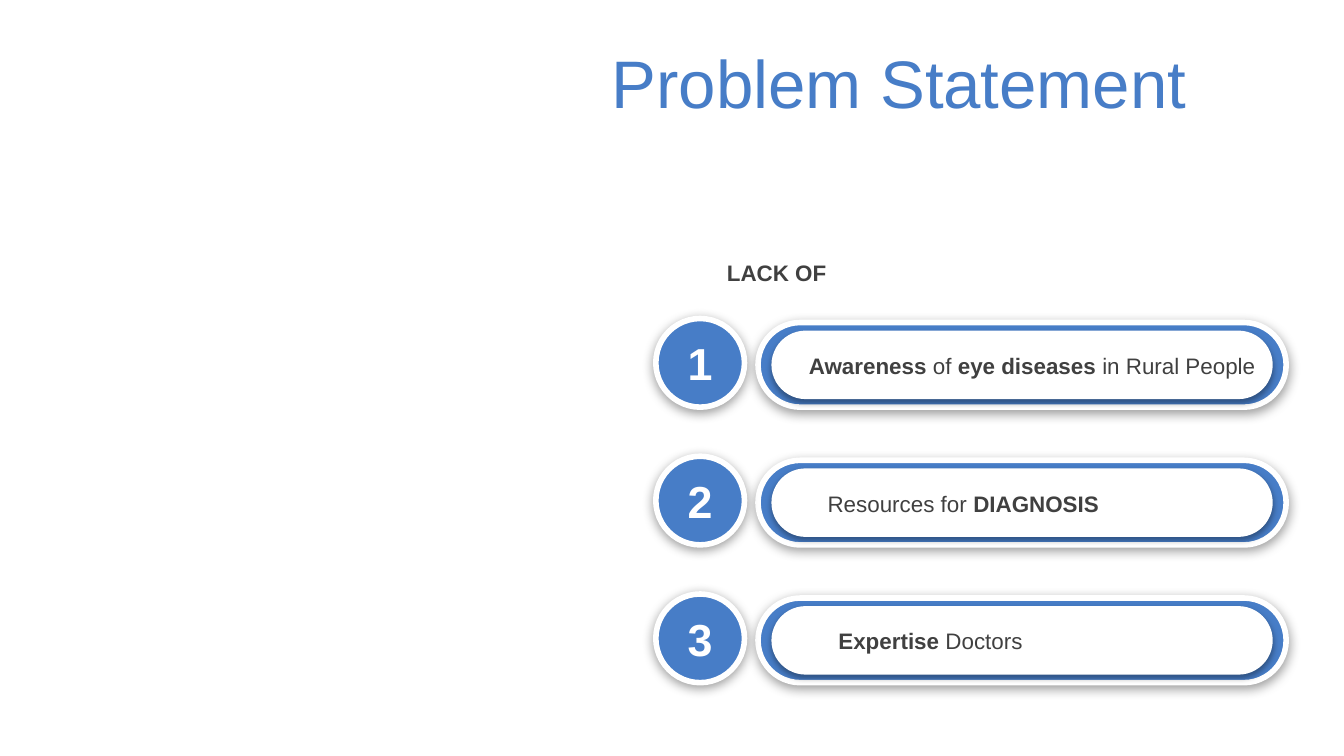
from dataclasses import dataclass

from lxml import etree
from pptx import Presentation
from pptx import util as u
from pptx.dml.color import RGBColor
from pptx.enum import shapes, text
from pptx.oxml import ns

TITLE = "Problem Statement"
LEAD = "LACK OF"
PROBLEMS = [
    (5.92, [("Awareness", True), (" of ", False), ("eye diseases", True), (" in Rural People", False)]),
    (6.06, [("Resources for ", False), ("DIAGNOSIS", True)]),
    (6.14, [("Expertise", True), (" Doctors", False)]),
]


@dataclass(frozen=True)
class Theme:
    font: str = "Arial"
    blue: str = "477DC7"
    white: str = "FFFFFF"
    dark: str = "404040"
    title_size: int = 36
    number_size: int = 24
    body_size: int = 12
    outline: int = 3
    outer_shadow: tuple = (38, 6, 1.6)
    inner_shadow: tuple = (35, 3.1, 1.8)


THEME = Theme()
SLIDE_WIDTH = 10
SLIDE_HEIGHT = SLIDE_WIDTH * 9 / 16
FIRST_TOP, LAST_TOP = 2.37, 4.42
ROW_PITCH = (LAST_TOP - FIRST_TOP) / (len(PROBLEMS) - 1)
BADGE_LEFT, BADGE_SIZE = 4.88, 0.66
PILL_LEFT, PILL_WIDTH, PILL_HEIGHT = 5.64, 3.93, 0.63
INSET_X, INSET_Y = 0.1, 0.06
LABEL_WIDTH, LABEL_HEIGHT, LABEL_DROP = 3.6, 0.3, 0.2


def inches(*lengths):
    return [u.Inches(length) for length in lengths]


def style(paragraph, size, color, bold=None):
    paragraph.font.name = THEME.font
    paragraph.font.size = u.Pt(size)
    paragraph.font.color.rgb = RGBColor.from_string(color)
    paragraph.font.bold = bold


def add_shadow(shape, alpha, blur, distance):
    shape.shadow.inherit = False
    effects = shape._element.spPr.find(ns.qn("a:effectLst"))
    shadow = etree.SubElement(
        effects, ns.qn("a:outerShdw"), blurRad=str(u.Pt(blur)),
        dist=str(u.Pt(distance)), dir="5400000", algn="t", rotWithShape="0")
    color = etree.SubElement(shadow, ns.qn("a:srgbClr"), val="000000")
    etree.SubElement(color, ns.qn("a:alpha"), val=str(alpha * 1000))


def add_solid(slide, kind, box, fill, shadow, outlined):
    shape = slide.shapes.add_shape(kind, *inches(*box))
    shape.fill.solid()
    shape.fill.fore_color.rgb = RGBColor.from_string(fill)
    if outlined:
        shape.line.color.rgb = RGBColor.from_string(THEME.white)
        shape.line.width = u.Pt(THEME.outline)
    else:
        shape.line.fill.background()
    add_shadow(shape, *shadow)
    return shape


def add_pill(slide, box, fill, shadow, outlined):
    pill = add_solid(slide, shapes.MSO_SHAPE.ROUNDED_RECTANGLE, box, fill, shadow, outlined)
    pill.adjustments[0] = 0.5


def add_label(slide, box, runs):
    label = slide.shapes.add_textbox(*inches(*box))
    label.text_frame.word_wrap = True
    paragraph = label.text_frame.paragraphs[0]
    style(paragraph, THEME.body_size, THEME.dark)
    for words, bold in runs:
        run = paragraph.add_run()
        run.text = words
        run.font.bold = bold


def add_badge(slide, top, number):
    badge = add_solid(slide, shapes.MSO_SHAPE.OVAL, (BADGE_LEFT, top, BADGE_SIZE, BADGE_SIZE),
                      THEME.blue, THEME.outer_shadow, True)
    frame = badge.text_frame
    frame.margin_left = frame.margin_right = frame.margin_top = frame.margin_bottom = 0
    frame.vertical_anchor = text.MSO_ANCHOR.MIDDLE
    paragraph = frame.paragraphs[0]
    paragraph.text = str(number)
    paragraph.alignment = text.PP_ALIGN.CENTER
    style(paragraph, THEME.number_size, THEME.white, True)


def add_problem(slide, number, label_left, runs):
    top = FIRST_TOP + (number - 1) * ROW_PITCH
    pill_top = top + BADGE_SIZE - PILL_HEIGHT
    add_pill(slide, (PILL_LEFT, pill_top, PILL_WIDTH, PILL_HEIGHT),
             THEME.blue, THEME.outer_shadow, True)
    add_pill(slide, (PILL_LEFT + INSET_X, pill_top + INSET_Y,
                     PILL_WIDTH - 2 * INSET_X, PILL_HEIGHT - 2 * INSET_Y),
             THEME.white, THEME.inner_shadow, False)
    add_label(slide, (label_left, top + LABEL_DROP, LABEL_WIDTH, LABEL_HEIGHT), runs)
    add_badge(slide, top, number)


def add_title(slide):
    title = slide.shapes.title
    title.left, title.top, title.width, title.height = inches(4.45, 0.29, 5.55, 0.63)
    title.text_frame.text = TITLE
    title.text_frame.vertical_anchor = text.MSO_ANCHOR.MIDDLE
    paragraph = title.text_frame.paragraphs[0]
    paragraph.alignment = text.PP_ALIGN.LEFT
    style(paragraph, THEME.title_size, THEME.blue)


def main():
    presentation = Presentation()
    presentation.slide_width, presentation.slide_height = inches(SLIDE_WIDTH, SLIDE_HEIGHT)
    slide = presentation.slides.add_slide(presentation.slide_layouts.get_by_name("Title Only"))
    add_title(slide)
    add_label(slide, (5.31, 1.88, 2.99, LABEL_HEIGHT), [(LEAD, True)])
    for number, (label_left, runs) in enumerate(PROBLEMS, 1):
        add_problem(slide, number, label_left, runs)
    presentation.save("out.pptx")


if __name__ == "__main__":
    main()
